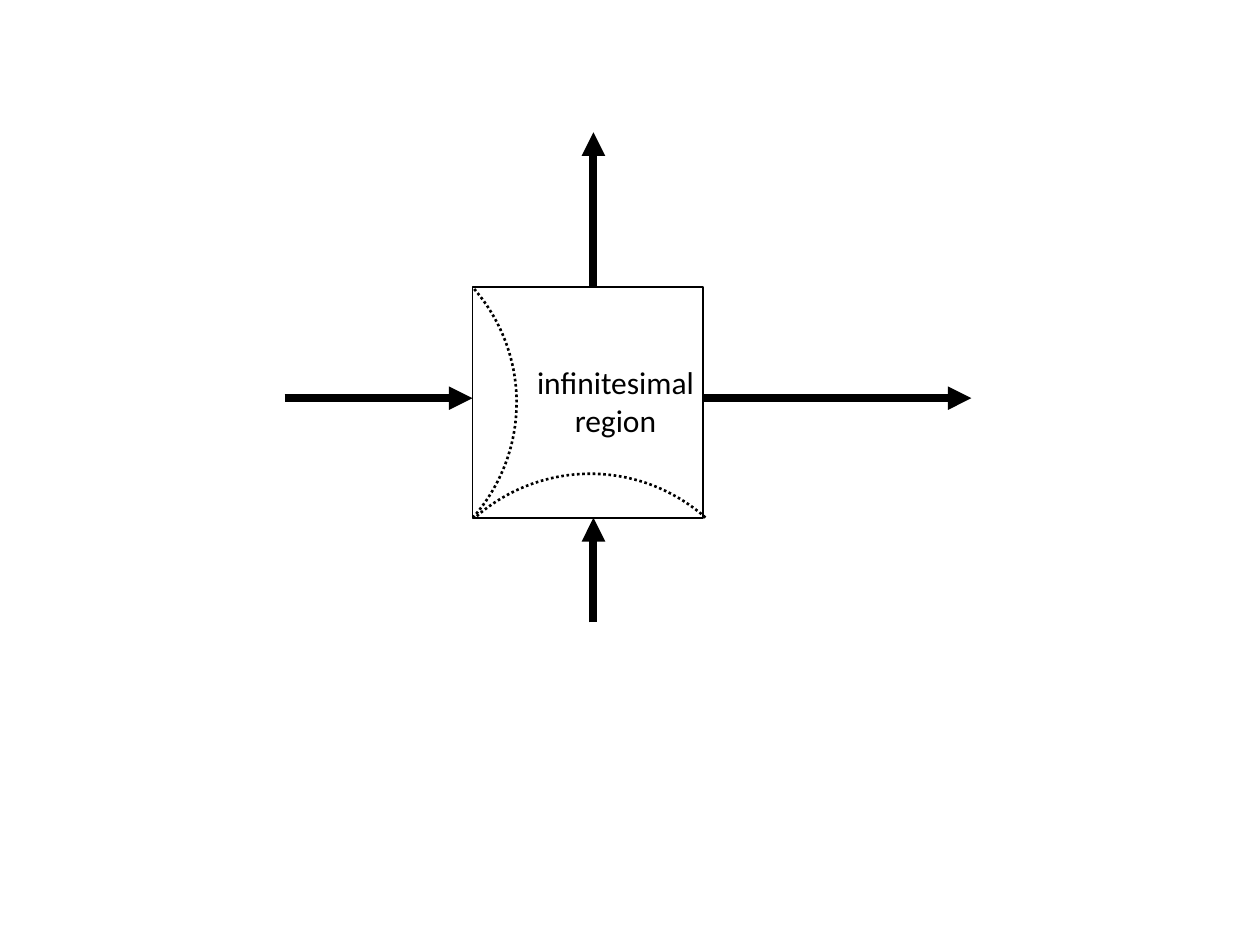
from pptx import Presentation
from pptx.dml.color import RGBColor
from pptx.enum.dml import MSO_LINE
from pptx.enum.shapes import MSO_CONNECTOR, MSO_SHAPE
from pptx.enum.text import MSO_AUTO_SIZE, PP_ALIGN
from pptx.oxml.ns import qn
from pptx.util import Inches, Pt
from lxml import etree

STRAIGHT = MSO_CONNECTOR.STRAIGHT
RECTANGLE, ARC = MSO_SHAPE.RECTANGLE, MSO_SHAPE.ARC
DOTTED = MSO_LINE.ROUND_DOT
CENTER = PP_ALIGN.CENTER
GROW = MSO_AUTO_SIZE.SHAPE_TO_FIT_TEXT

THEME = {
    "ink": RGBColor(0, 0, 0),
    "paper": RGBColor(255, 255, 255),
    "label": {"name": "Calibri", "size": Pt(18)},
    "border": Pt(1),
    "dots": Pt(1.5),
    "flow": Pt(4.5),
}

deck = Presentation()
deck.slide_width, deck.slide_height = Inches(10), Inches(7.5)
slide = deck.slides.add_slide(deck.slide_layouts[6])
COLUMN, ROW = deck.slide_width / 100, deck.slide_height / 75


def cells(*lengths):
    return [round(n * unit) for n, unit in zip(lengths, (COLUMN, ROW) * 2)]


def draw_line(line, width):
    line.color.rgb = THEME["ink"]
    line.width = THEME[width]


left, top, side = 37.5, 22.8, 18.3
right, bottom = left + side, top + side
flow_row, flow_column = 31.6, 47.1

region = slide.shapes.add_shape(RECTANGLE, *cells(left, top, side, side))
region.shadow.inherit = False
region.fill.solid()
region.fill.fore_color.rgb = THEME["paper"]
draw_line(region.line, "border")

circle = 27.5
for arc_left, arc_top, turn in ((33.1, 37.6, 0), (13.5, 18.2, 90)):
    boundary = slide.shapes.add_shape(ARC, *cells(arc_left, arc_top, circle, circle))
    boundary.shadow.inherit = False
    boundary.rotation = turn
    boundary.adjustments[0] = 137.44
    boundary.adjustments[1] = 187.44
    boundary.fill.background()
    draw_line(boundary.line, "dots")
    boundary.line.dash_style = DOTTED

flows = (
    (right, flow_row, 77.1, flow_row),
    (22.6, flow_row, left, flow_row),
    (flow_column, 49.4, flow_column, bottom),
    (flow_column, top, flow_column, 10.5),
)
for ends in flows:
    flow = slide.shapes.add_connector(STRAIGHT, *cells(*ends))
    draw_line(flow.line, "flow")
    etree.SubElement(flow.line._get_or_add_ln(), qn("a:tailEnd"), type="triangle")
    etree.SubElement(flow._element.spPr, qn("a:effectLst"))

caption = slide.shapes.add_textbox(*cells(41.6, 28.3, 14.5, 7.1)).text_frame
caption.word_wrap = True
caption.auto_size = GROW
caption.text = "infinitesimal\nregion"
for words in caption.paragraphs:
    words.alignment = CENTER
    words.font.color.rgb = THEME["ink"]
    for key, value in THEME["label"].items():
        setattr(words.font, key, value)

deck.save("out.pptx")
